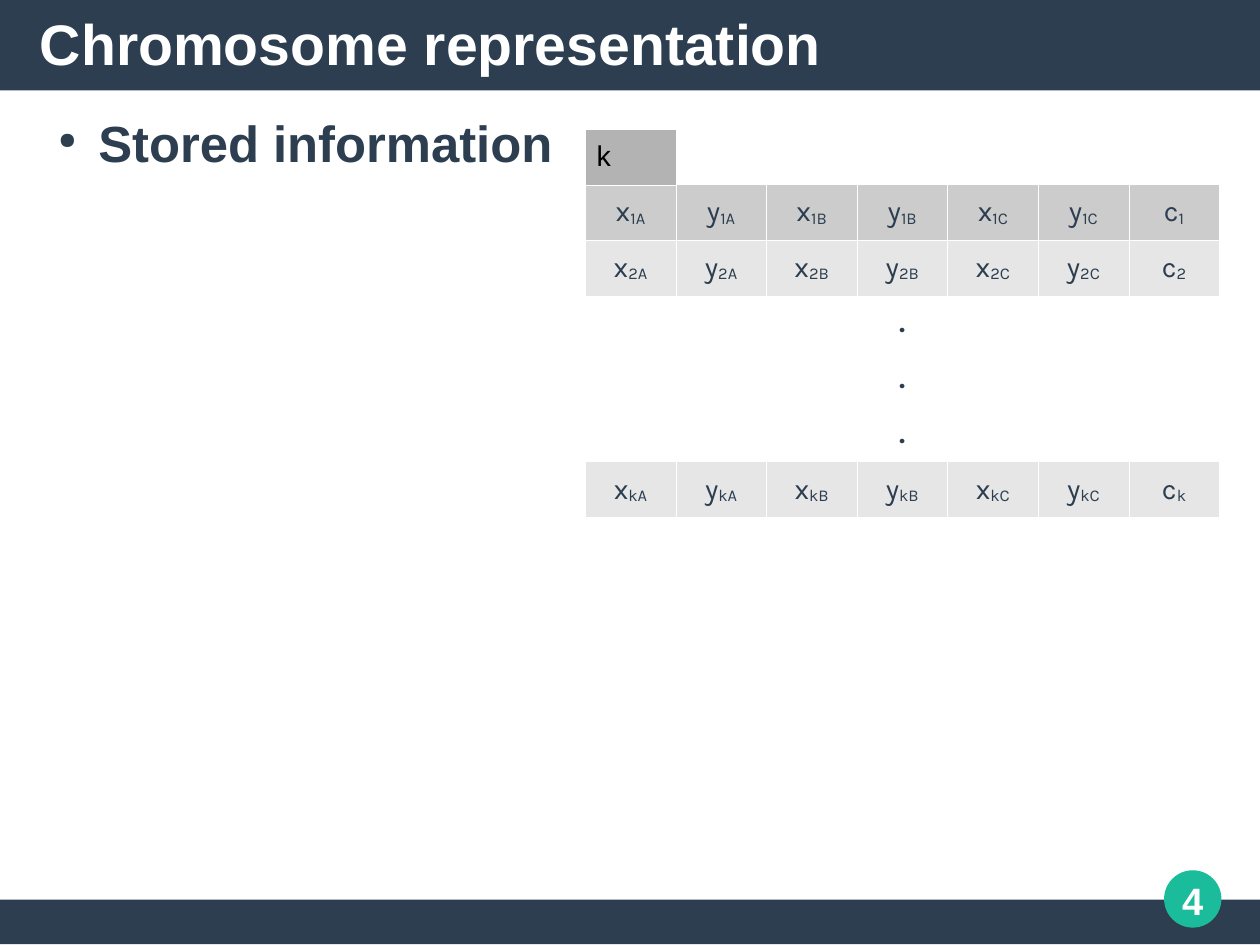
from lxml.etree import SubElement
from pptx import Presentation
from pptx.dml.color import RGBColor
from pptx.enum.shapes import MSO_SHAPE
from pptx.enum.text import MSO_ANCHOR, PP_ALIGN
from pptx.oxml.ns import qn
from pptx.util import Inches, Pt

NAVY = RGBColor(0x2C, 0x3E, 0x50)
TEAL = RGBColor(0x1A, 0xBC, 0x9C)
WHITE = RGBColor(0xFF, 0xFF, 0xFF)
BLACK = RGBColor(0x00, 0x00, 0x00)
DARK_GREY = RGBColor(0xB3, 0xB3, 0xB3)
MID_GREY = RGBColor(0xCC, 0xCC, 0xCC)
LIGHT_GREY = RGBColor(0xE6, 0xE6, 0xE6)

SLIDE_WIDTH = 28 / 2.54
SLIDE_HEIGHT = 21 / 2.54
NO_TABLE_STYLE = "{2D5ABB26-0587-4C30-8999-92F81FD0307C}"
COLUMNS = ["xA", "yA", "xB", "yB", "xC", "yC", "c"]
CLUSTER_ROWS = {
    1: ("1", MID_GREY, "LRB"),
    2: ("2", LIGHT_GREY, "LR"),
    6: ("k", LIGHT_GREY, "LRB"),
}
DOT_ROWS = range(3, 6)
ROW_COUNT = 7


def write(frame, text, *, size=18, color=NAVY, font="Arial", bold=False,
          align=PP_ALIGN.LEFT, subscript=""):
    """Write text and an optional subscript into the first paragraph."""
    paragraph = frame.paragraphs[0]
    paragraph.alignment = align
    for content, baseline in ((text, None), (subscript, "-8000")):
        if not content:
            continue
        run = paragraph.add_run()
        run.text = content
        run.font.size = Pt(size)
        run.font.name = font
        run.font.bold = bold
        run.font.color.rgb = color
        if baseline:
            run.font._element.set("baseline", baseline)
    return paragraph


def add_block(slide, preset, left, top, width, height, color):
    """Add a plain filled shape."""
    block = slide.shapes.add_shape(
        preset, Inches(left), Inches(top), Inches(width), Inches(height))
    block.shadow.inherit = False
    block.fill.solid()
    block.fill.fore_color.rgb = color
    block.line.color.rgb = color
    block.line.width = Pt(0.85)
    if preset == MSO_SHAPE.RECTANGLE:
        block.line.fill.background()


def add_text(slide, text, left, top, width, height,
             anchor=MSO_ANCHOR.MIDDLE, **text_format):
    """Add a text box without insets and return its paragraph."""
    box = slide.shapes.add_textbox(
        Inches(left), Inches(top), Inches(width), Inches(height))
    frame = box.text_frame
    frame.word_wrap = True
    frame.vertical_anchor = anchor
    frame.margin_left = frame.margin_right = 0
    frame.margin_top = frame.margin_bottom = 0
    return write(frame, text, **text_format)


def add_bullet(paragraph):
    """Give a paragraph a small round bullet with a hanging indent."""
    paragraph.space_after = Pt(14.1)
    properties = paragraph._p.get_or_add_pPr()
    properties.set("marL", str(Inches(0.47)))
    properties.set("indent", str(Inches(-0.35)))
    bullet_color = SubElement(properties, qn("a:buClr"))
    SubElement(bullet_color, qn("a:srgbClr"), val=str(NAVY))
    SubElement(properties, qn("a:buSzPct"), val="45000")
    SubElement(properties, qn("a:buChar"), char="●")


def style_cell(cell, color, sides):
    """Fill a cell and draw hairline white borders on the given sides."""
    cell.vertical_anchor = MSO_ANCHOR.MIDDLE
    properties = cell._tc.get_or_add_tcPr()
    for side in sides:
        border = SubElement(properties, qn(f"a:ln{side}"), w=str(Pt(0.06)))
        border_fill = SubElement(border, qn("a:solidFill"))
        SubElement(border_fill, qn("a:srgbClr"), val=str(WHITE))
    cell.fill.solid()
    cell.fill.fore_color.rgb = color


def add_chromosome_table(slide):
    """Add the table of gene values, one row per cluster."""
    table = slide.shapes.add_table(
        ROW_COUNT, len(COLUMNS), Inches(5.12), Inches(1.13),
        Inches(5.55), Inches(3.4)).table
    table.first_row = False
    table.horz_banding = False
    table._tbl.tblPr.find(qn("a:tableStyleId")).text = NO_TABLE_STYLE
    table.cell(0, 1).merge(table.cell(0, len(COLUMNS) - 1))

    count_cell = table.cell(0, 0)
    style_cell(count_cell, DARK_GREY, "LRTB")
    write(count_cell.text_frame, "k", color=BLACK)
    for row, (index, color, sides) in CLUSTER_ROWS.items():
        for column, gene in enumerate(COLUMNS):
            cell = table.cell(row, column)
            style_cell(cell, color, sides)
            write(cell.text_frame, gene[0], font="Karla",
                  align=PP_ALIGN.CENTER, subscript=index + gene[1:])
    for row in DOT_ROWS:
        cell = table.cell(row, len(COLUMNS) // 2)
        cell.vertical_anchor = MSO_ANCHOR.MIDDLE
        write(cell.text_frame, ".", font="Karla", bold=True,
              align=PP_ALIGN.CENTER)


def main():
    """Build the slide and save it."""
    deck = Presentation()
    deck.slide_width = Inches(SLIDE_WIDTH)
    deck.slide_height = Inches(SLIDE_HEIGHT)
    slide = deck.slides.add_slide(deck.slide_layouts[6])

    add_block(slide, MSO_SHAPE.RECTANGLE, 0, 7.87, SLIDE_WIDTH, 0.39, NAVY)
    add_block(slide, MSO_SHAPE.RECTANGLE, 0, 0, SLIDE_WIDTH, 0.79, NAVY)
    add_block(slide, MSO_SHAPE.OVAL, 10.19, 7.62, 0.49, 0.49, TEAL)
    add_text(slide, "4", 10.04, 7.48, 0.79, 0.79, size=24, color=WHITE,
             bold=True, align=PP_ALIGN.CENTER)
    add_text(slide, "Chromosome representation", 0.35, -0.03, 10.24, 0.81,
             size=36, color=WHITE, bold=True)
    topic = add_text(slide, "Stored information", 0.39, 0.98, 10.24, 6.89,
                     anchor=MSO_ANCHOR.TOP, size=32, bold=True)
    add_bullet(topic)
    add_chromosome_table(slide)

    deck.save("out.pptx")


if __name__ == "__main__":
    main()
